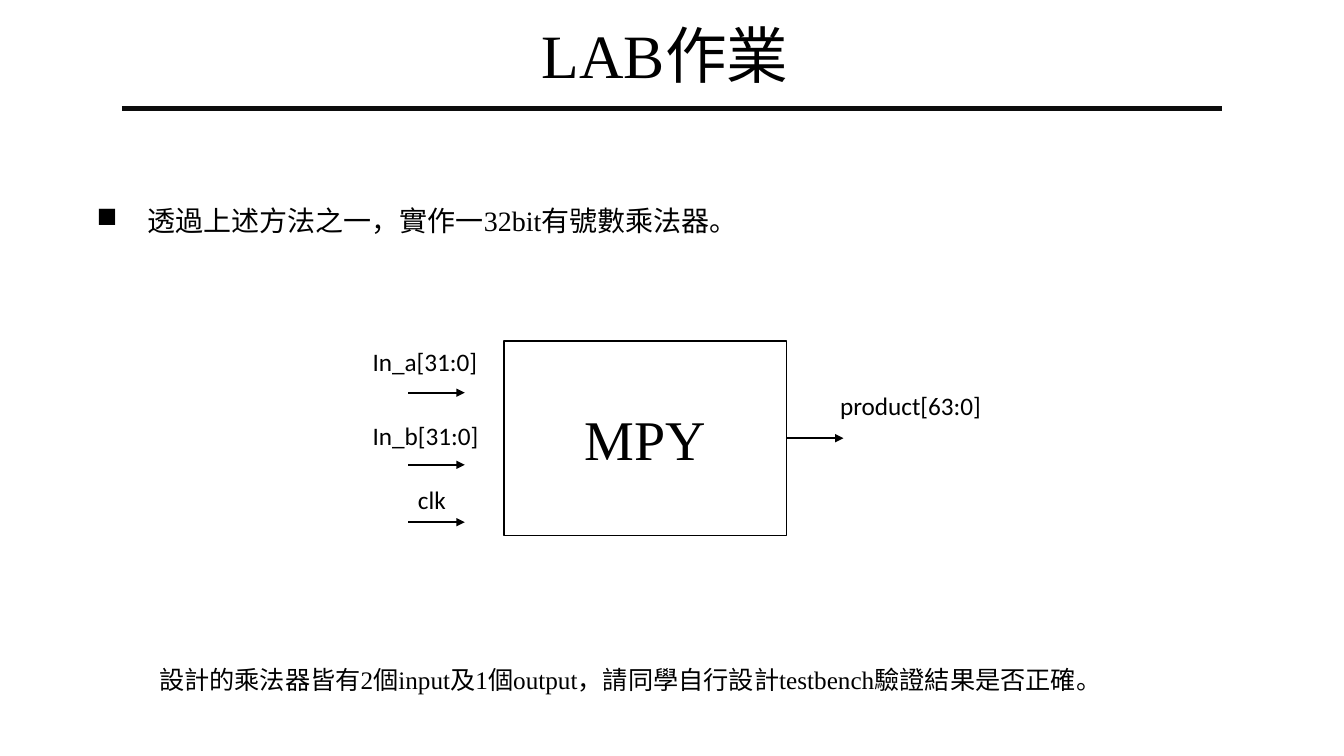
from lxml.etree import SubElement
from pptx import Presentation
from pptx.dml.color import RGBColor
from pptx.enum.shapes import MSO_CONNECTOR as Connector, MSO_SHAPE as Preset
from pptx.enum.text import MSO_ANCHOR as Anchor, MSO_AUTO_SIZE as AutoSize, PP_ALIGN as Align
from pptx.oxml.ns import qn
from pptx.util import Pt

COLORS = {"ink": "000000", "paper": "FFFFFF", "rule": "0D0D0D"}
SERIF, SANS = "Times New Roman", "Calibri"


class Sheet:
    def __init__(self, slide):
        self.slide = slide

    def color(self, name):
        return RGBColor.from_string(COLORS[name])

    def set_text(self, frame, text, size, font, align=Align.LEFT):
        frame.text = text
        paragraph = frame.paragraphs[0]
        paragraph.alignment = align
        paragraph.font.size = Pt(size)
        paragraph.font.name = font
        paragraph.font.color.rgb = self.color("ink")
        return paragraph

    def title(self, text, left, top, width, height):
        heading = self.slide.shapes.title
        heading.left, heading.top = Pt(left), Pt(top)
        heading.width, heading.height = Pt(width), Pt(height)
        frame = heading.text_frame
        frame.auto_size = AutoSize.NONE
        frame.vertical_anchor = Anchor.BOTTOM
        self.set_text(frame, text, 44, SERIF, Align.CENTER).line_spacing = 0.9

    def text(self, text, left, top, width, height, size=18, font=SERIF, wrap=True):
        box = self.slide.shapes.add_textbox(Pt(left), Pt(top), Pt(width), Pt(height))
        box.text_frame.word_wrap = wrap
        return self.set_text(box.text_frame, text, size, font)

    def bullet(self, text, left, top, width, height, indent=36):
        properties = self.text(text, left, top, width, height, 20)._p.get_or_add_pPr()
        properties.set("marL", str(Pt(indent)))
        properties.set("indent", str(-Pt(indent)))
        mark = SubElement(properties, qn("a:buChar"))
        mark.set("char", "■")
        properties.insert(0, mark)

    def block(self, text, left, top, width, height):
        block = self.slide.shapes.add_shape(
            Preset.RECTANGLE, Pt(left), Pt(top), Pt(width), Pt(height))
        block.shadow.inherit = False
        block.fill.solid()
        block.fill.fore_color.rgb = self.color("paper")
        block.line.color.rgb = self.color("ink")
        block.line.width = Pt(1)
        block.text_frame.vertical_anchor = Anchor.MIDDLE
        self.set_text(block.text_frame, text, 40, SERIF, Align.CENTER)

    def line(self, left, right, y, color="ink", weight=1.5, arrow=False):
        line = self.slide.shapes.add_connector(
            Connector.STRAIGHT, Pt(left), Pt(y), Pt(right), Pt(y))
        line.line.color.rgb = self.color(color)
        line.line.width = Pt(weight)
        properties = line._element.spPr
        if arrow:
            SubElement(properties.find(qn("a:ln")), qn("a:tailEnd")).set("type", "triangle")
        SubElement(properties, qn("a:effectLst"))

    def port(self, text, label_left, label_top, label_width, arrow_left, arrow_y):
        self.text(text, label_left, label_top, label_width, 29, font=SANS, wrap=False)
        self.line(arrow_left, arrow_left + 40.5, arrow_y, arrow=True)


deck = Presentation()
deck.slide_width, deck.slide_height = Pt(960), Pt(540)
sheet = Sheet(deck.slides.add_slide(deck.slide_layouts[5]))

sheet.title("LAB作業 ", 66, 11.5, 828, 57.5)
sheet.line(87, 873, 77.5, "rule", 3.75)
sheet.bullet("透過上述方法之一，實作一32bit有號數乘法器。", 62, 142, 836, 55)

block_left, block_top, block_width, block_height = 360, 243.5, 202, 139
sheet.block("MPY", block_left, block_top, block_width, block_height)

input_left = 291.5
for signal, label_left, label_top, label_width, arrow_y in [
    ("In_a[31:0]", 259, 243.5, 90, 280.5),
    ("In_b[31:0]", 259, 296.5, 90, 332),
    ("clk", input_left, 342.5, 34.5, 373),
]:
    sheet.port(signal, label_left, label_top, label_width, input_left, arrow_y)
sheet.port("product[63:0]", 593, 275, 117,
           block_left + block_width, block_top + block_height / 2)

sheet.text("設計的乘法器皆有2個input及1個output，請同學自行設計testbench驗證結果是否正確。",
           106.5, 471, 744, 29)

deck.save("out.pptx")
